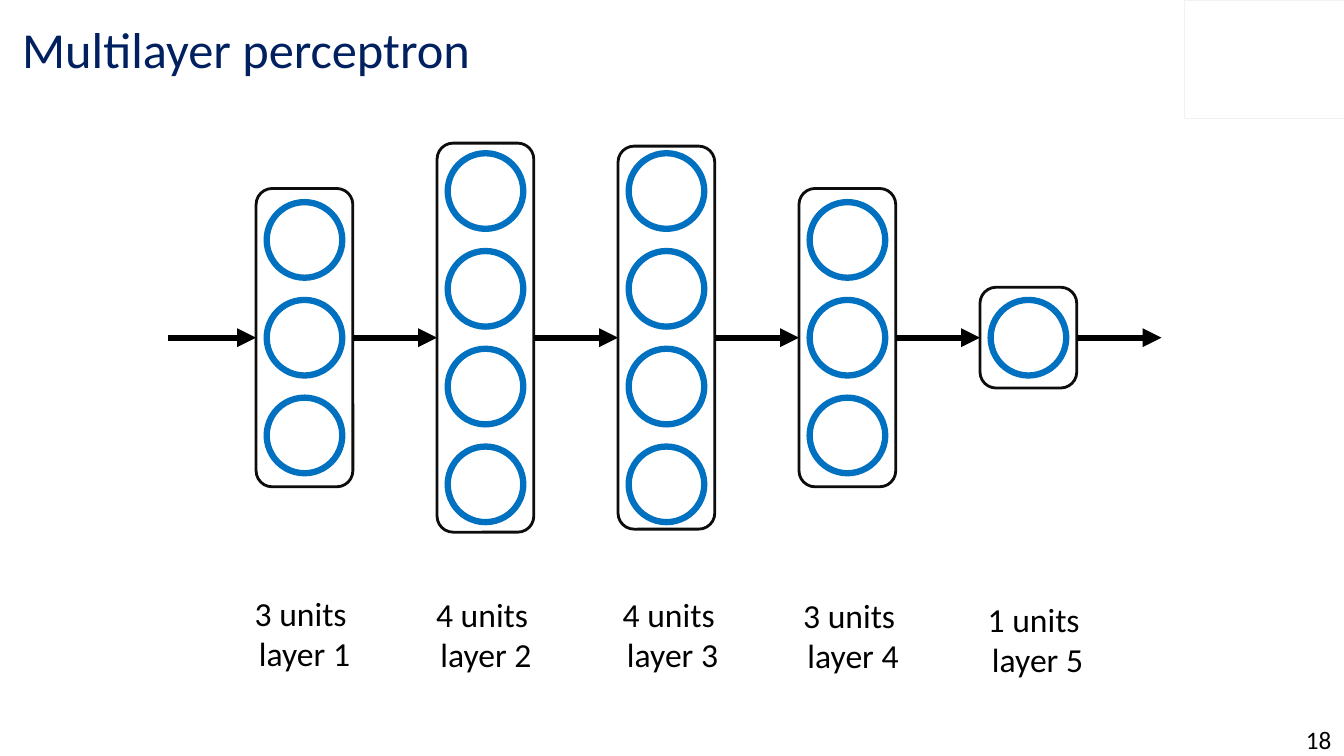
from itertools import pairwise

from lxml import etree
from pptx import Presentation
from pptx.dml.color import RGBColor
from pptx.enum.shapes import MSO_CONNECTOR, MSO_SHAPE
from pptx.enum.text import MSO_ANCHOR, MSO_AUTO_SIZE, PP_ALIGN
from pptx.oxml.ns import qn
from pptx.util import Inches, Pt

RECT, ROUNDED, CIRCLE = MSO_SHAPE.RECTANGLE, MSO_SHAPE.ROUNDED_RECTANGLE, MSO_SHAPE.OVAL
STRAIGHT = MSO_CONNECTOR.STRAIGHT
LEFT, CENTER = PP_ALIGN.LEFT, PP_ALIGN.CENTER
TOP, MIDDLE = MSO_ANCHOR.TOP, MSO_ANCHOR.MIDDLE
LEFT_SIDE, RIGHT_SIDE = 1, 3

# Grid, in inches: one column per layer, units stacked around the axis
SLIDE_W, SLIDE_H = 13.33, 7.5
FIRST_CENTER, LAST_CENTER = 3.02, 10.2
AXIS_Y = 3.35
LAYER_W = 0.96
UNIT_SIZE, UNIT_PITCH = 0.75, 0.97
ARROW_START, ARROW_END = 1.67, 11.52
LABEL_W, LABEL_H = 1.45, 0.91

# Units, frame height, label center and label top of each layer
LAYERS = [
    (3, 2.96, 3.02, 5.83),
    (4, 3.86, 4.82, 5.84),
    (4, 3.8, 6.67, 5.84),
    (3, 2.96, 8.46, 5.85),
    (1, 1.0, 10.29, 5.89),
]


def color(hex_value):
    return RGBColor.from_string(hex_value)


def column_center(index):
    return FIRST_CENTER + index * (LAST_CENTER - FIRST_CENTER) / (len(LAYERS) - 1)


def add_outline(shapes, preset, center_x, center_y, width, height, line_color, line_width):
    outline = shapes.add_shape(preset, Inches(center_x - width / 2), Inches(center_y - height / 2),
                               Inches(width), Inches(height))
    outline.shadow.inherit = False
    outline.fill.background()
    outline.line.color.rgb = color(line_color)
    outline.line.width = Pt(line_width)
    return outline


def add_layer(slide, center_x, units, height):
    """Draw one framed stack of units and return its frame."""
    layer = slide.shapes.add_group_shape().shapes
    frame = add_outline(layer, ROUNDED, center_x, AXIS_Y, LAYER_W, height, "0D0D0D", 2)
    for row in range(units):
        center_y = AXIS_Y + (row - (units - 1) / 2) * UNIT_PITCH
        add_outline(layer, CIRCLE, center_x, center_y, UNIT_SIZE, UNIT_SIZE, "0070C0", 4.5)
    return frame


def add_arrow(slide, source, target):
    """Join two frames; a missing frame leaves that end free."""
    arrow = slide.shapes.add_connector(STRAIGHT, Inches(ARROW_START), Inches(AXIS_Y),
                                       Inches(ARROW_END), Inches(AXIS_Y))
    if source is not None:
        arrow.begin_connect(source, RIGHT_SIDE)
    if target is not None:
        arrow.end_connect(target, LEFT_SIDE)
    arrow.line.color.rgb = color("000000")
    arrow.line.width = Pt(4.5)
    etree.SubElement(arrow.line._get_or_add_ln(), qn("a:tailEnd"), type="triangle")
    etree.SubElement(arrow._element.spPr, qn("a:effectLst"))


def write_text(holder, lines, size, text_color, align, anchor):
    frame = holder.text_frame
    frame_format = {"word_wrap": True, "auto_size": MSO_AUTO_SIZE.NONE, "vertical_anchor": anchor}
    for name, value in frame_format.items():
        setattr(frame, name, value)
    frame.text = "\n".join(lines)
    for paragraph in frame.paragraphs:
        paragraph.alignment = align
        for name, value in {"name": "Calibri", "size": Pt(size)}.items():
            setattr(paragraph.font, name, value)
        paragraph.font.color.rgb = color(text_color)


def add_label(slide, left, top, width, height, lines, size, anchor):
    label = slide.shapes.add_textbox(Inches(left), Inches(top), Inches(width), Inches(height))
    write_text(label, lines, size, "000000", CENTER, anchor)


def add_title(slide, text):
    title = slide.shapes.title
    place = {"left": 0.12, "top": 0.1, "width": 10.29, "height": 0.75}
    for name, value in place.items():
        setattr(title, name, Inches(value))
    write_text(title, [text], 36, "002060", LEFT, MIDDLE)


def main():
    deck = Presentation()
    deck.slide_width, deck.slide_height = Inches(SLIDE_W), Inches(SLIDE_H)
    slide = deck.slides.add_slide(deck.slide_layouts[5])

    # Corner frame, title and page number
    corner_w, corner_h = 1.59, 1.17
    add_outline(slide.shapes, RECT, SLIDE_W - corner_w / 2, corner_h / 2,
                corner_w, corner_h, "F2F2F2", 0.25)
    add_title(slide, "Multilayer perceptron")
    add_label(slide, SLIDE_W - 0.5, SLIDE_H - 0.33, 0.5, 0.33, ["18"], 18, MIDDLE)

    # Layers with their labels
    frames = []
    for index, (units, height, label_center, label_top) in enumerate(LAYERS):
        frames.append(add_layer(slide, column_center(index), units, height))
        add_label(slide, label_center - LABEL_W / 2, label_top, LABEL_W, LABEL_H,
                  [f"{units} units ", f"layer {index + 1}"], 24, TOP)

    # Arrows from the input through every layer to the output
    for source, target in pairwise([None, *frames, None]):
        add_arrow(slide, source, target)

    deck.save("out.pptx")


if __name__ == "__main__":
    main()
